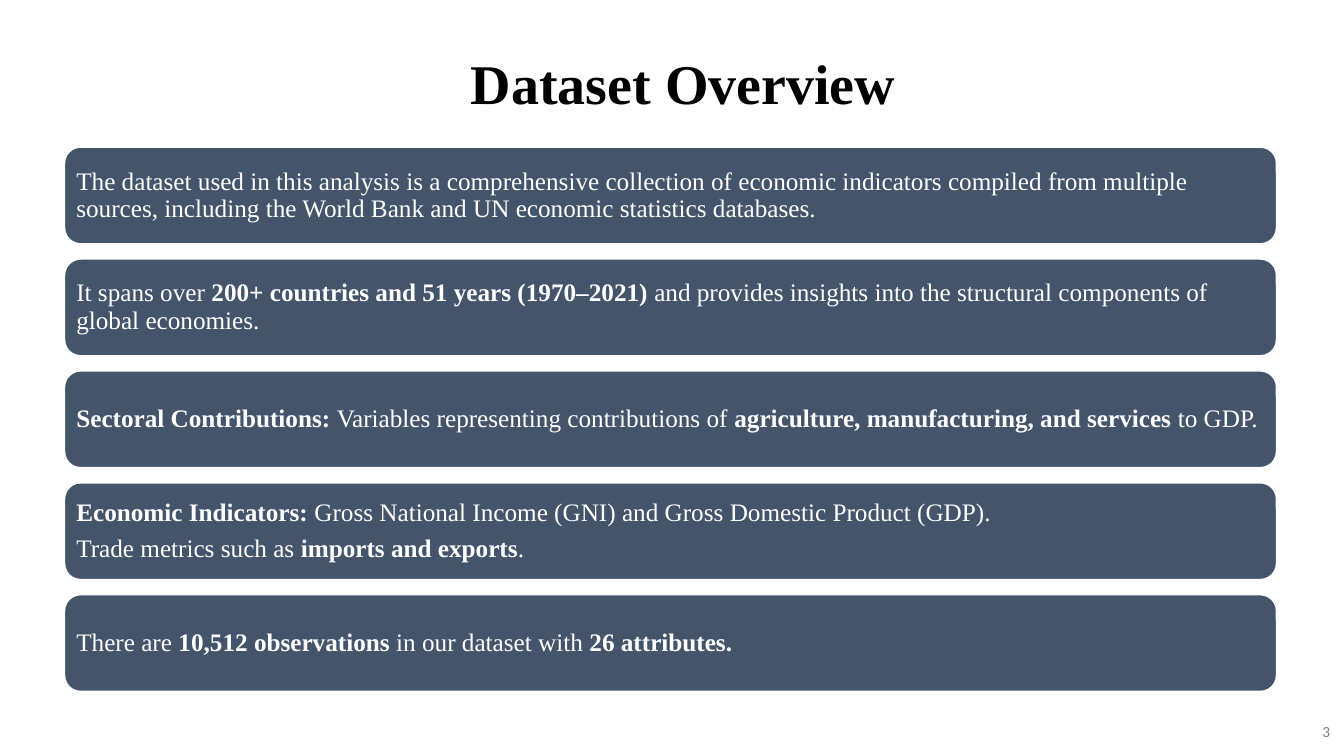
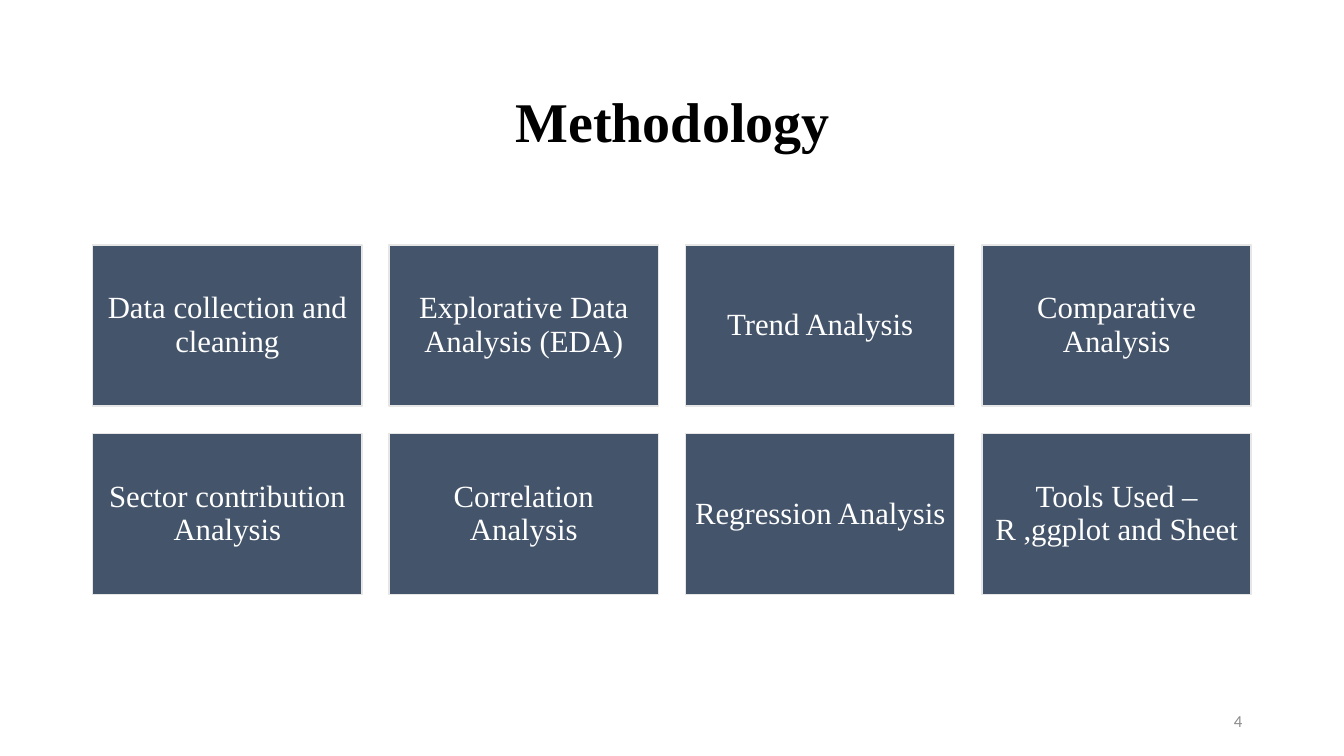
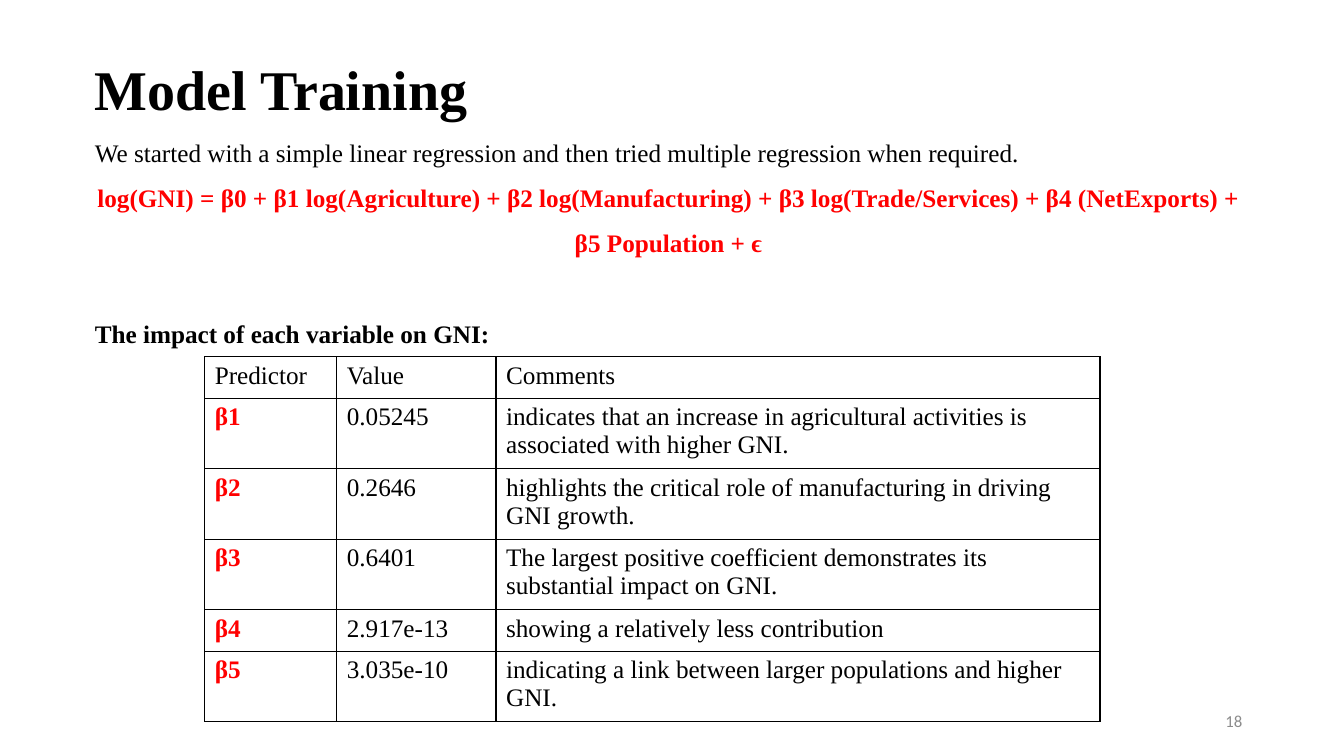
from dataclasses import dataclass

from lxml import etree
from pptx import Presentation
from pptx.dml.color import RGBColor
from pptx.enum.shapes import MSO_SHAPE
from pptx.enum.text import MSO_ANCHOR, MSO_AUTO_SIZE, PP_ALIGN
from pptx.oxml.ns import qn
from pptx.presentation import Presentation as Deck
from pptx.slide import Slide
from pptx.table import _Cell as Cell
from pptx.text.text import TextFrame
from pptx.util import Inches, Pt

# Enum members
LEFT, CENTER, RIGHT = PP_ALIGN.LEFT, PP_ALIGN.CENTER, PP_ALIGN.RIGHT
MIDDLE = MSO_ANCHOR.MIDDLE
RECTANGLE, ROUNDED = MSO_SHAPE.RECTANGLE, MSO_SHAPE.ROUNDED_RECTANGLE
NO_FIT = MSO_AUTO_SIZE.NONE

# Shared look
SLATE = RGBColor(0x44, 0x54, 0x6A)
WHITE = RGBColor(0xFF, 0xFF, 0xFF)
BLACK = RGBColor(0x00, 0x00, 0x00)
RED = RGBColor(0xFF, 0x00, 0x00)
PALE_GRAY = RGBColor(0xE7, 0xE6, 0xE6)
GRAY = RGBColor(0x80, 0x80, 0x80)
LIGHT_GRAY = RGBColor(0x8C, 0x8C, 0x8C)
SERIF, SANS = "Times New Roman", "Calibri"
TITLE_ONLY, TITLE_AND_BODY = 5, 1
BOLD_MARK = "**"


@dataclass(frozen=True)
class Box:
    left: float
    top: float
    width: float
    height: float

    def lengths(self) -> tuple[int, int, int, int]:
        return (Inches(self.left), Inches(self.top),
                Inches(self.width), Inches(self.height))


@dataclass(frozen=True)
class Grid:
    """Equal cells, filled row by row."""
    first: Box
    gap: float
    columns: int

    def cell(self, index: int) -> Box:
        row, column = divmod(index, self.columns)
        first = self.first
        return Box(first.left + column * (first.width + self.gap),
                   first.top + row * (first.height + self.gap),
                   first.width, first.height)


@dataclass(frozen=True)
class Style:
    size: float
    color: RGBColor
    bold: bool = False
    font: str = SERIF
    align: PP_ALIGN = LEFT
    spacing: float = 1.0
    before: float = 0
    after: float = 0


@dataclass(frozen=True)
class CardStyle:
    outline: MSO_SHAPE
    line: RGBColor
    inset: float
    text: Style


@dataclass(frozen=True)
class Predictor:
    symbol: str
    value: str
    comment: str
    lines: int


PAGE_NUMBER = Box(9.42, 6.95, 3, 0.4)
PAGE_STYLE = Style(12, LIGHT_GRAY, font=SANS, align=RIGHT)
TITLE_STYLE = Style(40, BLACK, bold=True, align=CENTER, spacing=0.9)

# Dataset Overview
FACT_GRID = Grid(Box(0.64, 1.46, 12.02, 0.96), gap=0.15, columns=1)
FACT_CARD = CardStyle(ROUNDED, WHITE, 0.07,
                      Style(18, WHITE, spacing=0.9, after=6))
FACTS = [
    ["The dataset used in this analysis is a comprehensive collection of "
     "economic indicators compiled from multiple sources, including the "
     "World Bank and UN economic statistics databases."],
    ["It spans over **200+ countries and 51 years (1970–2021)** and provides "
     "insights into the structural components of global economies."],
    ["**Sectoral Contributions: **Variables representing contributions of "
     "**agriculture, manufacturing, and services** to GDP."],
    ["**Economic Indicators: **Gross National Income (GNI) and Gross Domestic "
     "Product (GDP).",
     "Trade metrics such as **imports and exports**."],
    ["There are **10,512 observations** in our dataset with "
     "**26 attributes.**"],
]

# Methodology
STEP_GRID = Grid(Box(0.92, 2.43, 2.67, 1.6), gap=0.27, columns=4)
STEP_CARD = CardStyle(RECTANGLE, PALE_GRAY, 0.09,
                      Style(22, WHITE, align=CENTER, spacing=0.9, after=6))
STEPS = [
    "Data collection and cleaning",
    "Explorative Data Analysis (EDA)",
    "Trend Analysis",
    "Comparative Analysis",
    "Sector contribution Analysis",
    "Correlation Analysis",
    "Regression Analysis",
    "Tools Used – R ,ggplot and Sheet",
]

# Model Training
MODEL_TITLE = Style(40, BLACK, bold=True, spacing=1.5)
MODEL_TEXT = [
    ("We started with a simple linear regression and then tried multiple "
     "regression when required.",
     Style(18, BLACK, spacing=1.5)),
    ("log(GNI) = β0 + β1 log(Agriculture) + β2 log(Manufacturing) + "
     "β3 log(Trade/Services) + β4 (NetExports) + β5 Population + ϵ",
     Style(18, RED, bold=True, align=CENTER, spacing=1.5)),
    ("The impact of each variable on GNI:",
     Style(18, BLACK, bold=True, spacing=1.5, before=32.5)),
]
HEADINGS = ("Predictor", "Value", "Comments")
PREDICTORS = [
    Predictor("β1", "0.05245", "indicates that an increase in agricultural "
              "activities is associated with higher GNI.", 2),
    Predictor("β2", "0.2646", "highlights the critical role of manufacturing "
              "in driving GNI growth.", 2),
    Predictor("β3", "0.6401", "The largest positive coefficient demonstrates "
              "its substantial impact on GNI.", 2),
    Predictor("β4", "2.917e-13", "showing a relatively less contribution", 1),
    Predictor("β5", "3.035e-10", "indicating a link between larger "
              "populations and higher GNI.", 2),
]
COLUMN_WIDTHS = (1.31, 1.58, 5.99)
ROW_HEIGHTS = {1: 0.41, 2: 0.7}
CELL_STYLE = Style(18, BLACK)
SYMBOL_STYLE = Style(18, RED, bold=True)


def write(frame: TextFrame, lines: list[tuple[str, Style]]) -> None:
    """Fill a frame; text between bold marks is set in bold."""
    for index, (text, style) in enumerate(lines):
        paragraph = frame.add_paragraph() if index else frame.paragraphs[0]
        paragraph.alignment = style.align
        paragraph.line_spacing = style.spacing
        paragraph.space_before = Pt(style.before)
        paragraph.space_after = Pt(style.after)
        for part_index, part in enumerate(text.split(BOLD_MARK)):
            if not part:
                continue
            run = paragraph.add_run()
            run.text = part
            run.font.name = style.font
            run.font.size = Pt(style.size)
            run.font.bold = style.bold or part_index % 2 == 1
            run.font.color.rgb = style.color


def place(shape, box: Box) -> None:
    shape.left, shape.top, shape.width, shape.height = box.lengths()


def add_slide(deck: Deck, layout: int, title: str, box: Box,
              style: Style = TITLE_STYLE) -> Slide:
    slide = deck.slides.add_slide(deck.slide_layouts[layout])
    heading = slide.shapes.title
    place(heading, box)
    heading.text_frame.auto_size = NO_FIT
    heading.text_frame.vertical_anchor = MIDDLE
    write(heading.text_frame, [(title, style)])
    return slide


def add_page_number(slide: Slide, number: int, box: Box = PAGE_NUMBER,
                    style: Style = PAGE_STYLE) -> None:
    frame = slide.shapes.add_textbox(*box.lengths()).text_frame
    frame.word_wrap = True
    frame.vertical_anchor = MIDDLE
    write(frame, [(str(number), style)])


def add_card(slide: Slide, box: Box, card: CardStyle,
             lines: list[str]) -> None:
    shape = slide.shapes.add_shape(card.outline, *box.lengths())
    shape.shadow.inherit = False
    shape.fill.solid()
    shape.fill.fore_color.rgb = SLATE
    shape.line.color.rgb = card.line
    shape.line.width = Pt(1)
    frame = shape.text_frame
    frame.word_wrap = True
    frame.vertical_anchor = MIDDLE
    frame.margin_left = frame.margin_right = Inches(card.inset)
    frame.margin_top = frame.margin_bottom = Inches(card.inset)
    write(frame, [(line, card.text) for line in lines])


def add_borders(cell: Cell) -> None:
    properties = cell._tc.get_or_add_tcPr()
    for position, side in enumerate(("a:lnL", "a:lnR", "a:lnT", "a:lnB")):
        border = etree.Element(qn(side), w=str(Pt(1)))
        fill = etree.SubElement(border, qn("a:solidFill"))
        etree.SubElement(fill, qn("a:srgbClr"), val=str(BLACK))
        properties.insert(position, border)


def add_predictor_table(slide: Slide) -> None:
    rows = [HEADINGS] + [(p.symbol, p.value, p.comment) for p in PREDICTORS]
    heights = [ROW_HEIGHTS[n] for n in [1] + [p.lines for p in PREDICTORS]]
    box = Box(2.03, 3.54, sum(COLUMN_WIDTHS), sum(heights))
    table = slide.shapes.add_table(len(rows), len(HEADINGS),
                                   *box.lengths()).table
    table.first_row = table.horz_banding = False
    for column, width in zip(table.columns, COLUMN_WIDTHS):
        column.width = Inches(width)
    for row_index, (texts, height) in enumerate(zip(rows, heights)):
        table.rows[row_index].height = Inches(height)
        for column_index, text in enumerate(texts):
            cell = table.cell(row_index, column_index)
            is_symbol = row_index > 0 and column_index == 0
            cell.fill.background()
            add_borders(cell)
            write(cell.text_frame,
                  [(text, SYMBOL_STYLE if is_symbol else CELL_STYLE)])


def add_model_text(slide: Slide) -> None:
    body = slide.placeholders[1]
    place(body, Box(0.84, 1.16, 11.58, 2.4))
    body.text_frame.auto_size = NO_FIT
    write(body.text_frame, MODEL_TEXT)
    # Plain paragraphs instead of the template's bullets
    for paragraph in body.text_frame.paragraphs:
        properties = paragraph._p.get_or_add_pPr()
        properties.set("marL", "0")
        properties.set("indent", "0")
        etree.SubElement(properties, qn("a:buNone"))


def build_overview(deck: Deck) -> None:
    slide = add_slide(deck, TITLE_ONLY, "Dataset Overview",
                      Box(1.07, 0.38, 11.41, 0.96))
    for index, lines in enumerate(FACTS):
        add_card(slide, FACT_GRID.cell(index), FACT_CARD, lines)
    add_page_number(slide, 3, Box(12.8, 7.06, 0.49, 0.4),
                    Style(11, GRAY, font=SANS, align=RIGHT))


def build_methodology(deck: Deck) -> None:
    slide = add_slide(deck, TITLE_ONLY, "Methodology",
                      Box(0.92, 0.61, 11.5, 1.24))
    for index, step in enumerate(STEPS):
        add_card(slide, STEP_GRID.cell(index), STEP_CARD, [step])
    add_page_number(slide, 4)


def build_model(deck: Deck) -> None:
    slide = add_slide(deck, TITLE_AND_BODY, "Model Training",
                      Box(0.84, 0.16, 11.58, 1.1), MODEL_TITLE)
    add_model_text(slide)
    add_predictor_table(slide)
    add_page_number(slide, 18)


def main() -> None:
    deck = Presentation()
    deck.slide_width, deck.slide_height = Inches(13.33), Inches(7.5)
    build_overview(deck)
    build_methodology(deck)
    build_model(deck)
    deck.save("out.pptx")


if __name__ == "__main__":
    main()
